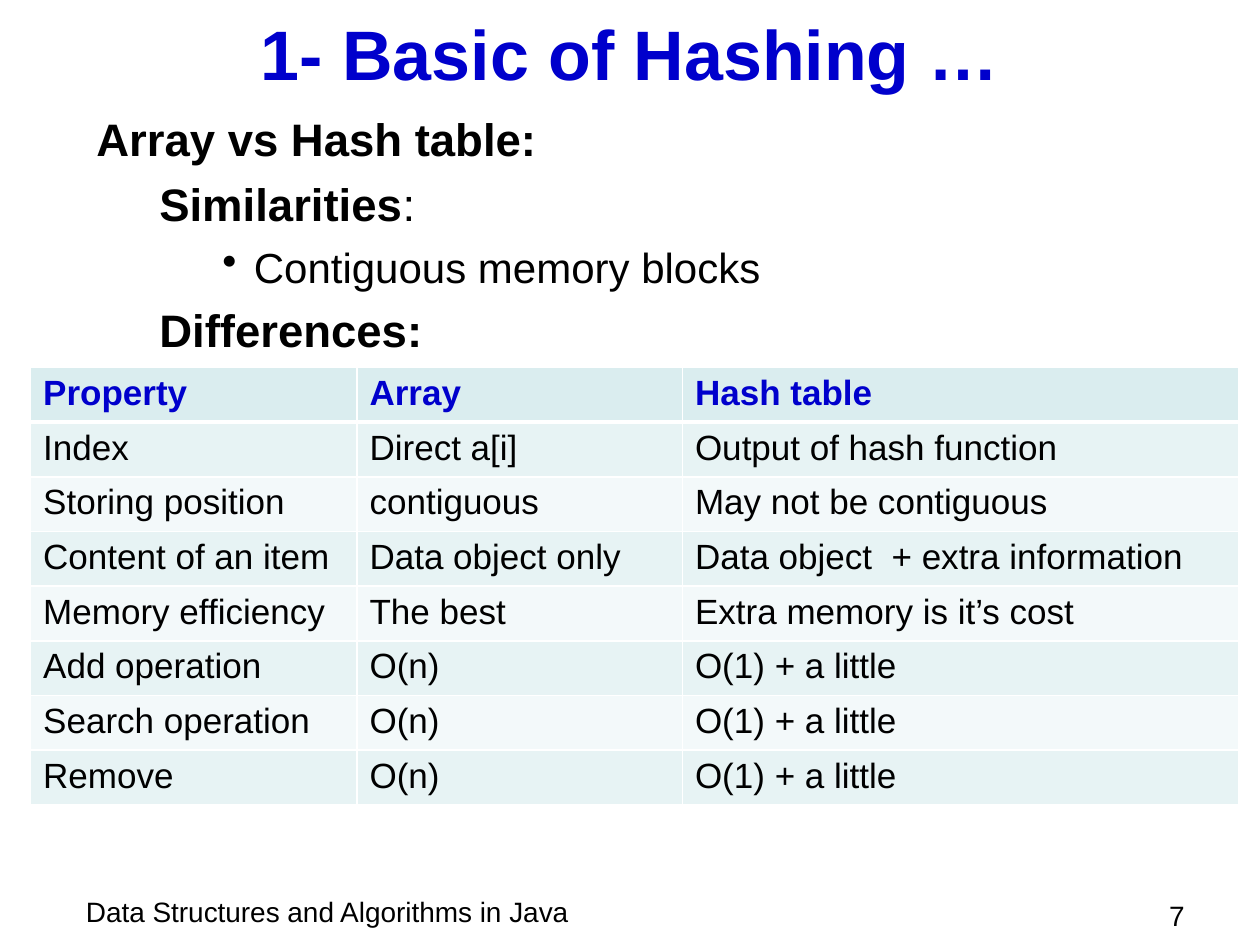
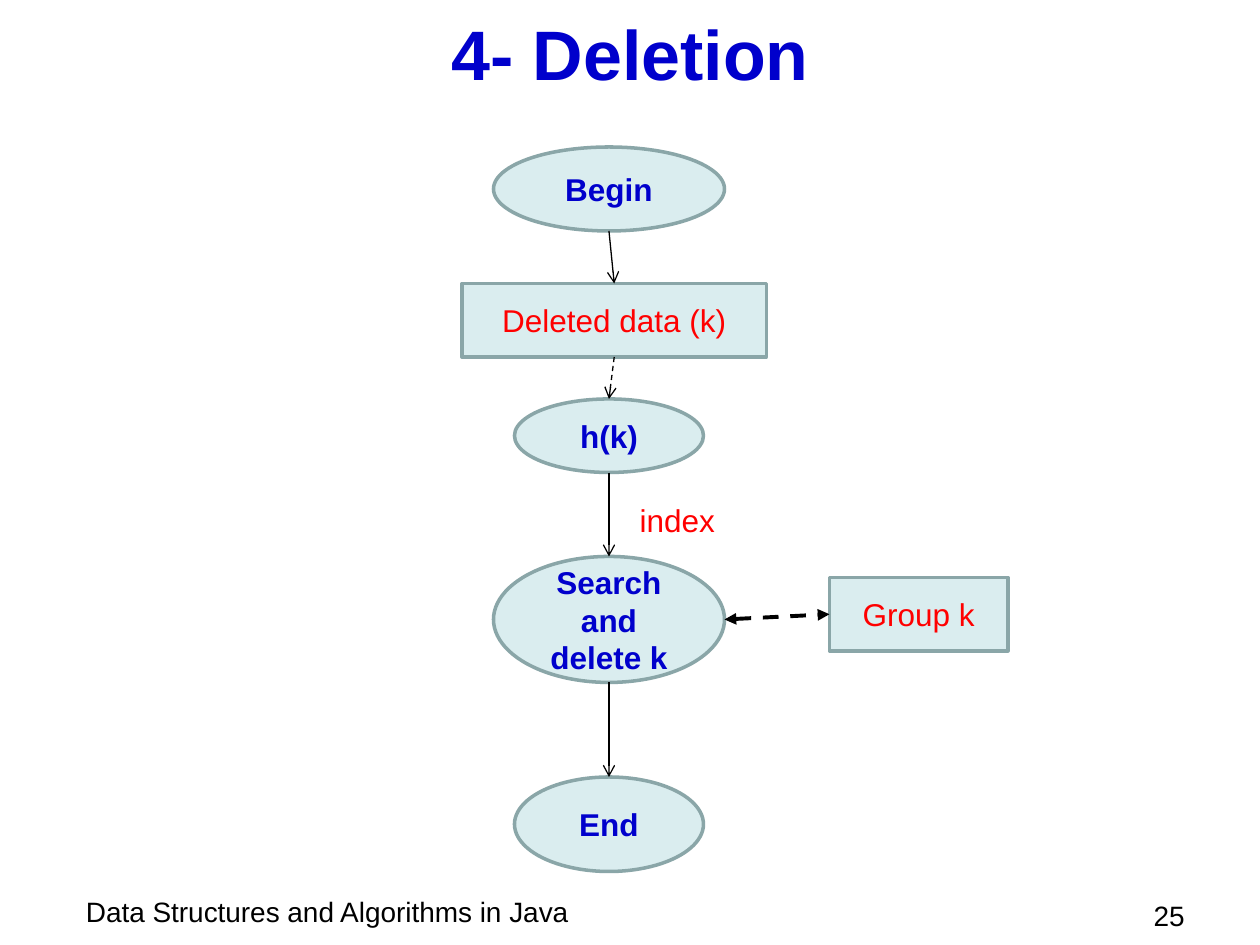
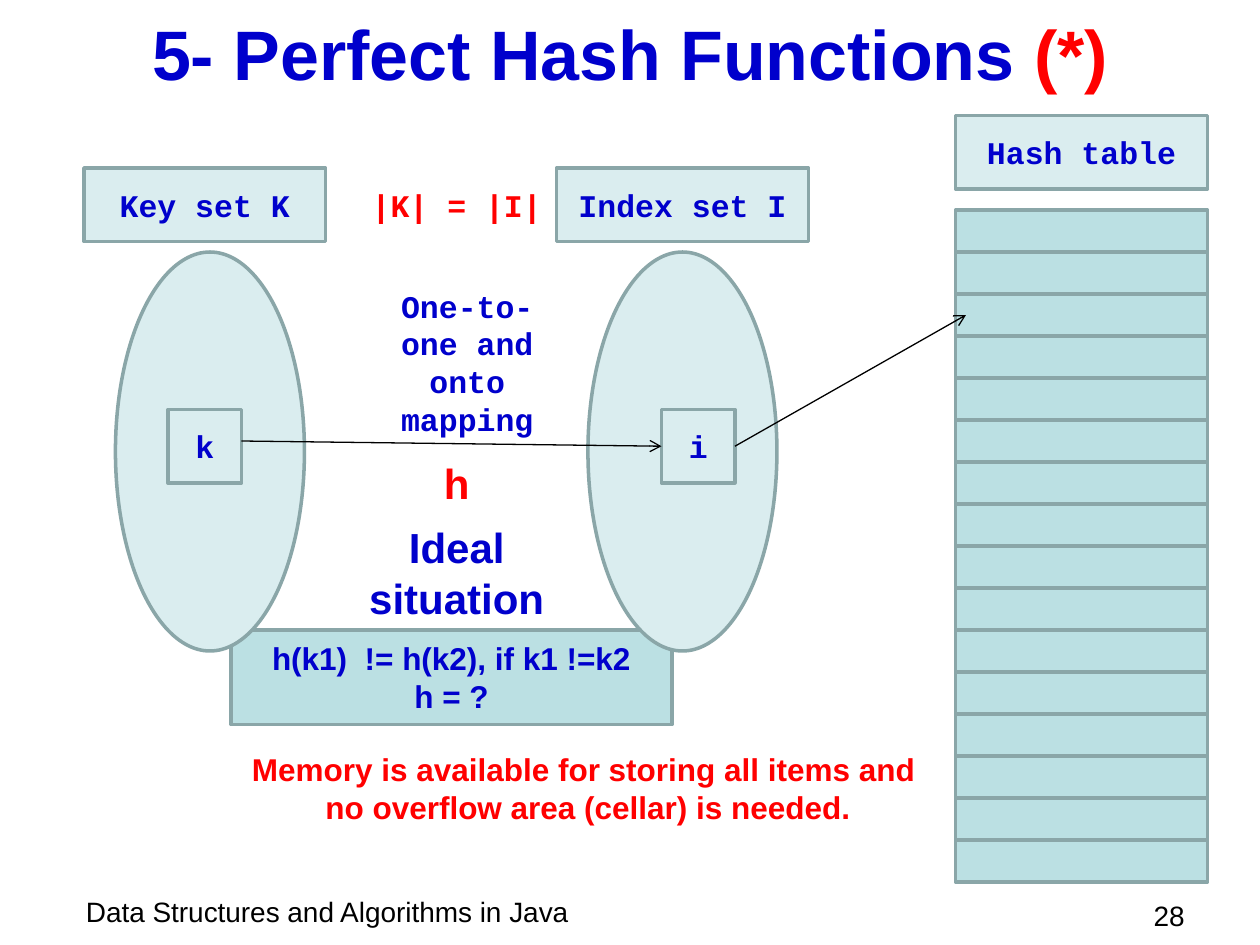
from lxml import etree
from pptx import Presentation
from pptx.dml.color import RGBColor
from pptx.enum import dml, shapes, text
from pptx.oxml import ns
from pptx.util import Pt

BLUE = RGBColor(0x00, 0x00, 0xCC)
RED = RGBColor(0xFF, 0x00, 0x00)
BLACK = RGBColor(0x00, 0x00, 0x00)
WHITE = RGBColor(0xFF, 0xFF, 0xFF)
PALE = RGBColor(0xDA, 0xED, 0xEF)
TEAL = RGBColor(0xBB, 0xE0, 0xE3)
EDGE = RGBColor(0x8A, 0xA6, 0xA8)
BANDS = RGBColor(0xE7, 0xF3, 0xF4), RGBColor(0xF3, 0xF9, 0xFA)
SANS, MONO = "Arial", "Courier New"
RECT, OVAL = shapes.MSO_SHAPE.RECTANGLE, shapes.MSO_SHAPE.OVAL
LEFT, MID, RIGHT = text.PP_ALIGN.LEFT, text.PP_ALIGN.CENTER, text.PP_ALIGN.RIGHT
FOOTER = "Data Structures and Algorithms in Java"


def add(parent, tag, **attrs):
    return etree.SubElement(parent, ns.qn("a:" + tag), attrs)


class Deck:
    def __init__(self):
        self.prs = Presentation()
        self.prs.slide_width, self.prs.slide_height = Pt(720), Pt(540)
        self.slide = None

    def page(self, title, number):
        self.slide = self.prs.slides.add_slide(self.prs.slide_layouts[6])
        self.text((42, 507.6, 408, 26.6), [FOOTER], 16, BLACK, False, align=LEFT, top=True)
        self.text((636, 510, 48, 18), [f" {number}"], 16, BLACK, False, align=RIGHT, top=True)
        return self.text((36, 6, 648, 48), [title], 40)

    def run(self, para, words, size=18, color=BLUE, bold=True, font=SANS):
        run = para.add_run()
        run.text = words
        run.font.size, run.font.bold, run.font.name = Pt(size), bold, font
        run.font.color.rgb = color

    def fill(self, frame, lines, size, color, bold, font, align, top):
        frame.word_wrap = True
        frame.vertical_anchor = text.MSO_ANCHOR.TOP if top else text.MSO_ANCHOR.MIDDLE
        for n, line in enumerate(lines):
            para = frame.add_paragraph() if n else frame.paragraphs[0]
            para.alignment = align
            self.run(para, line, size, color, bold, font)

    def text(self, box, lines, size=18, color=BLUE, bold=True, font=SANS, align=MID, top=False):
        frame = self.slide.shapes.add_textbox(*map(Pt, box)).text_frame
        self.fill(frame, lines, size, color, bold, font, align, top)
        return frame

    def shape(self, kind, box, lines=(), color=BLUE, bold=True, font=SANS, back=PALE):
        shape = self.slide.shapes.add_shape(kind, *map(Pt, box))
        shape.shadow.inherit = False
        shape.fill.solid()
        shape.fill.fore_color.rgb = back
        shape.line.color.rgb = EDGE
        shape.line.width = Pt(2)
        self.fill(shape.text_frame, lines, 18, color, bold, font, MID, False)
        return shape

    def line(self, start, end, width=0.75, dash=False, both=False, join=(None, None)):
        line = self.slide.shapes.add_connector(
            shapes.MSO_CONNECTOR.STRAIGHT, *map(Pt, start + end))
        if join[0]:
            line.begin_connect(*join[0])
        if join[1]:
            line.end_connect(*join[1])
        line.line.color.rgb = BLACK
        line.line.width = Pt(width)
        if dash:
            line.line.dash_style = dml.MSO_LINE.DASH
        edge = line.get_or_add_ln()
        if both:
            add(edge, "headEnd", type="triangle")
        add(edge, "tailEnd", type="triangle" if both else "arrow")
        add(line._element.spPr, "effectLst")

    def points(self, box, items):
        frame = self.slide.shapes.add_textbox(*map(Pt, box)).text_frame
        frame.word_wrap = True
        for n, (left, hang, mark, size, runs) in enumerate(items):
            para = frame.add_paragraph() if n else frame.paragraphs[0]
            para.space_before = Pt(6)
            props = para._p.get_or_add_pPr()
            props.set("marL", str(Pt(left)))
            props.set("indent", str(Pt(-hang)))
            if mark:
                add(props, "buChar", char=mark)
            else:
                add(props, "buNone")
            for words, bold in runs:
                self.run(para, words, size, BLACK, bold)

    def table(self, left, top, widths, height, rows):
        table = self.slide.shapes.add_table(
            len(rows), len(widths), Pt(left), Pt(top),
            Pt(sum(widths)), Pt(height * len(rows))).table
        for col, width in zip(table.columns, widths):
            col.width = Pt(width)
        for r, row in enumerate(rows):
            table.rows[r].height = Pt(height)
            for c, words in enumerate(row):
                self.cell(table.cell(r, c), words, r)

    def cell(self, cell, words, row):
        head = row == 0
        self.run(cell.text_frame.paragraphs[0], words, 20, BLUE if head else BLACK, head)
        props = cell._tc.get_or_add_tcPr()
        for side in "LRTB":
            thick = (head and side == "B") or (row == 1 and side == "T")
            edge = add(props, "ln" + side, w=str(Pt(3 if thick else 1)))
            add(add(edge, "solidFill"), "srgbClr", val=str(WHITE))
        cell.fill.solid()
        cell.fill.fore_color.rgb = PALE if head else BANDS[(row - 1) % 2]


def basics(deck):
    deck.page("1- Basic of Hashing …", 7)
    deck.points((48, 60, 648, 36), [
        (22.5, 22.5, "", 26, [("Array vs Hash table:", True)]),
        (58.5, 22.5, "", 26, [("Similarities", True), (":", False)]),
        (90, 18, "•", 24, [("Contiguous memory blocks", False)]),
        (58.5, 22.5, "", 26, [("Differences:", True)]),
    ])
    deck.table(17.5, 210, (186.5, 186, 318), 30.2, [
        ("Property", "Array", "Hash table"),
        ("Index", "Direct a[i]", "Output of hash function"),
        ("Storing position", "contiguous", "May not be contiguous"),
        ("Content of an item", "Data object only", "Data object  + extra information"),
        ("Memory efficiency", "The best", "Extra memory is it’s cost"),
        *((name, "O(n)", "O(1) + a little")
          for name in ("Add operation", "Search operation", "Remove")),
    ])


def deletion(deck):
    deck.page("4- Deletion", 25)
    data = deck.shape(RECT, (264, 162, 174, 42), ["Deleted data (k)"], RED, False)
    deck.shape(OVAL, (294, 228, 108, 42), ["h(k)"])
    deck.text((348, 282, 78, 30), ["index"], 18, RED, False)
    group = deck.shape(RECT, (474, 330, 102, 42), ["Group k"], RED, False)
    deck.shape(OVAL, (282, 318, 132, 72), ["Search and delete k"])
    deck.shape(OVAL, (294, 444, 108, 54), ["End"])
    deck.shape(OVAL, (282, 84, 132, 48), ["Begin"])
    deck.line((348, 132), (351, 162), join=(None, (data, 0)))
    deck.line((351, 204), (348, 228), dash=True, join=((data, 2), None))
    deck.line((348, 270), (348, 318))
    deck.line((348, 390), (348, 444))
    deck.line((414, 354), (474, 351), 2.25, True, True, (None, (group, 1)))


def perfect(deck):
    title = deck.page("5- Perfect Hash Functions ", 28)
    deck.run(title.paragraphs[0], "(*)", 40, RED)
    deck.shape(RECT, (132, 360, 252, 54),
               ["h(k1)  != h(k2), if k1 !=k2", "h = ?"], back=TEAL)
    for left in (66, 336):
        deck.shape(OVAL, (left, 144, 108, 228))
    for slot in range(16):
        deck.shape(RECT, (546, 120 + 24 * slot, 144, 24), back=TEAL)
    for words, left, top, width in (("Key set K", 48, 96, 138),
                                    ("Index set I", 318, 96, 144),
                                    ("Hash table", 546, 66, 144)):
        deck.shape(RECT, (left, top, width, 42), [words], font=MONO)
    deck.text((186, 294, 150, 66), ["Ideal situation"], 24)
    deck.text((204, 96, 114, 42), ["|K| = |I|"], 18, RED, font=MONO)
    deck.text((210, 162, 114, 90), ["One-to-one and onto mapping"], font=MONO)
    deck.text((228, 258, 66, 36), ["h"], 24, RED)
    note = deck.text((132, 426, 408, 48),
                     ["Memory is available for storing all items and "], 18, RED)
    note.paragraphs[0].add_line_break()
    deck.run(note.paragraphs[0], "no overflow area (cellar) is needed.", 18, RED)
    deck.shape(RECT, (96, 234, 42, 42), ["k"], font=MONO)
    index = deck.shape(RECT, (378, 234, 42, 42), ["i"], font=MONO)
    deck.line((138, 252), (378, 255), join=(None, (index, 1)))
    deck.line((420, 255), (552, 180), join=((index, 3), None))


def main():
    deck = Deck()
    basics(deck)
    deletion(deck)
    perfect(deck)
    deck.prs.save("out.pptx")


if __name__ == "__main__":
    main()
